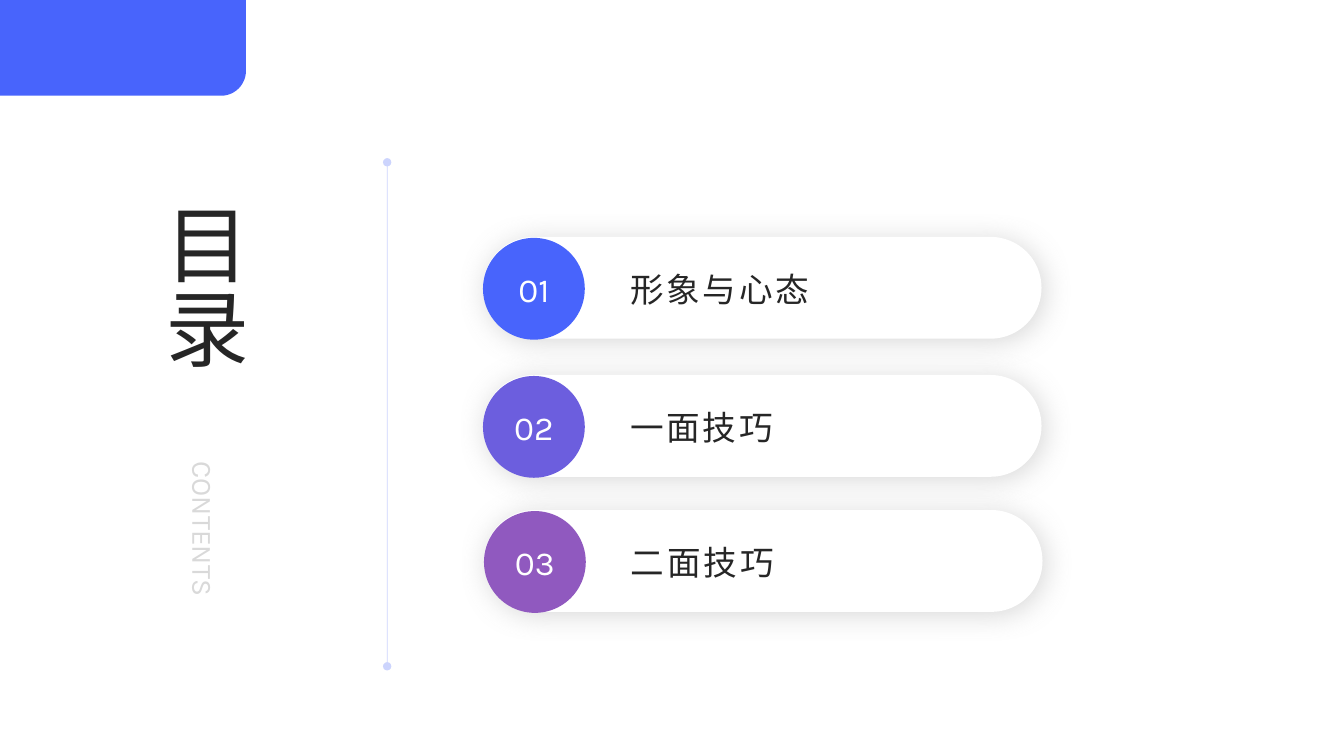
from lxml import etree
from pptx import Presentation
from pptx.dml.color import RGBColor
from pptx.enum.shapes import MSO_CONNECTOR, MSO_SHAPE
from pptx.enum.text import MSO_ANCHOR, MSO_AUTO_SIZE, PP_ALIGN
from pptx.oxml.ns import qn
from pptx.util import Inches, Pt

PILL = MSO_SHAPE.ROUNDED_RECTANGLE
DISC = MSO_SHAPE.OVAL
TAB = MSO_SHAPE.ROUND_1_RECTANGLE
LINE = MSO_CONNECTOR.STRAIGHT
MID = MSO_ANCHOR.MIDDLE
NO_FIT = MSO_AUTO_SIZE.NONE
LEFT, MIDDLE, JUST = PP_ALIGN.LEFT, PP_ALIGN.CENTER, PP_ALIGN.JUSTIFY

BLUE, DARK, GREY, WHITE = "4864FC", "262626", "D9D9D9", "FFFFFF"


def tint(code):
    return RGBColor.from_string(code)


def sub(node, tag, **attrs):
    child = etree.SubElement(node, qn(tag))
    for key, val in attrs.items():
        child.set(key, str(val))
    return child


def write(shape, text, size=24, color=DARK, align=LEFT, pad=0.0, gap=0, track=0):
    """Fill a shape with one formatted paragraph."""
    frame = shape.text_frame
    frame.word_wrap = True
    frame.auto_size = NO_FIT
    frame.vertical_anchor = MID
    frame.margin_left = frame.margin_right = Inches(pad)
    frame.margin_top = frame.margin_bottom = 0
    para = frame.paragraphs[0]
    para.alignment = align
    para.space_before, para.space_after = Pt(0), Pt(gap)
    run = para.add_run()
    run.text = text
    run.font.name, run.font.size = "Karla", Pt(size)
    run.font.color.rgb = tint(color)
    if track:
        run.font._element.set("spc", str(track * 100))
    return frame


class Deck:
    def __init__(self):
        self.prs = Presentation()
        self.prs.slide_width, self.prs.slide_height = Inches(13.33), Inches(7.5)
        self.slide = self.prs.slides.add_slide(self.prs.slide_layouts[1])
        self.shapes = self.slide.shapes

    def shape(self, kind, box, fill):
        item = self.shapes.add_shape(kind, *map(Inches, box))
        item.shadow.inherit = False
        item.fill.solid()
        item.fill.fore_color.rgb = tint(fill)
        item.line.fill.background()
        return item

    def tab(self, box):
        item = self.shape(TAB, box, BLUE)
        item.adjustments[0] = 0.26
        item._element.spPr.find(qn("a:xfrm")).set("flipV", "1")

    def pill(self, box):
        item = self.shape(PILL, box, WHITE)
        item.adjustments[0] = 0.5
        glow = sub(item._element.spPr.find(qn("a:effectLst")), "a:outerShdw",
                   blurRad=Pt(20), dist=Pt(3), dir=45 * 60000,
                   algn="tl", rotWithShape=0)
        sub(sub(glow, "a:srgbClr", val="808080"), "a:alpha", val=30000)

    def label(self, box, text, **style):
        write(self.shapes.add_textbox(*map(Inches, box)), text, **style)

    def rule(self, x, top, end):
        item = self.shapes.add_connector(LINE, *map(Inches, (x, top, x, end)))
        item.line.width = Pt(0.5)
        item.line.color.rgb = tint("002AF9")
        props = item._element.spPr
        edge = props.find(qn("a:ln"))
        sub(edge.find(".//" + qn("a:srgbClr")), "a:alpha", val=20000)
        for end_tag in ("a:headEnd", "a:tailEnd"):
            sub(edge, end_tag, type="oval")
        sub(props, "a:effectLst")

    def upright(self, holder, box, text, **style):
        """Place vertical text in a placeholder."""
        holder.left, holder.top, holder.width, holder.height = map(Inches, box)
        frame = write(holder, text, **style)
        frame.margin_left = frame.margin_right = Inches(0.1)
        frame.margin_top = frame.margin_bottom = Inches(0.05)
        frame._txBody.bodyPr.set("vert", "eaVert")
        props = frame.paragraphs[0]._p.get_or_add_pPr()
        props.set("marL", "0")
        props.set("indent", "0")
        sub(props, "a:buNone")


def main():
    deck = Deck()

    # Frame: corner tab and divider
    deck.tab((0, 0, 2.44, 0.95))
    deck.rule(3.84, 1.61, 6.61)

    # Vertical heading
    deck.upright(deck.shapes.title, (1.28, 1.96, 1.5, 2.32), "目录", size=60)
    deck.upright(deck.slide.placeholders[1], (1.27, 4.53, 1.5, 2.13), "CONTENTS",
                 size=20, color=GREY, align=JUST, gap=10)

    # Agenda rows
    rows = [(4.79, 2.35, BLUE, "形象与心态"),
            (4.79, 3.72, "6C5EDE", "一面技巧"),
            (4.8, 5.06, "9059BF", "二面技巧")]
    size = 1.01
    for num, (x, y, fill, text) in enumerate(rows, 1):
        deck.pill((x, y, 5.54, size))
        disc = deck.shape(DISC, (x, y + 0.01, size, size), fill)
        write(disc, f"{num:02}", color=WHITE, align=MIDDLE)
        deck.label((x + 1.36, y + 0.01, 4.19, size), text, pad=0.1, track=2)

    deck.prs.save("out.pptx")


if __name__ == "__main__":
    main()
